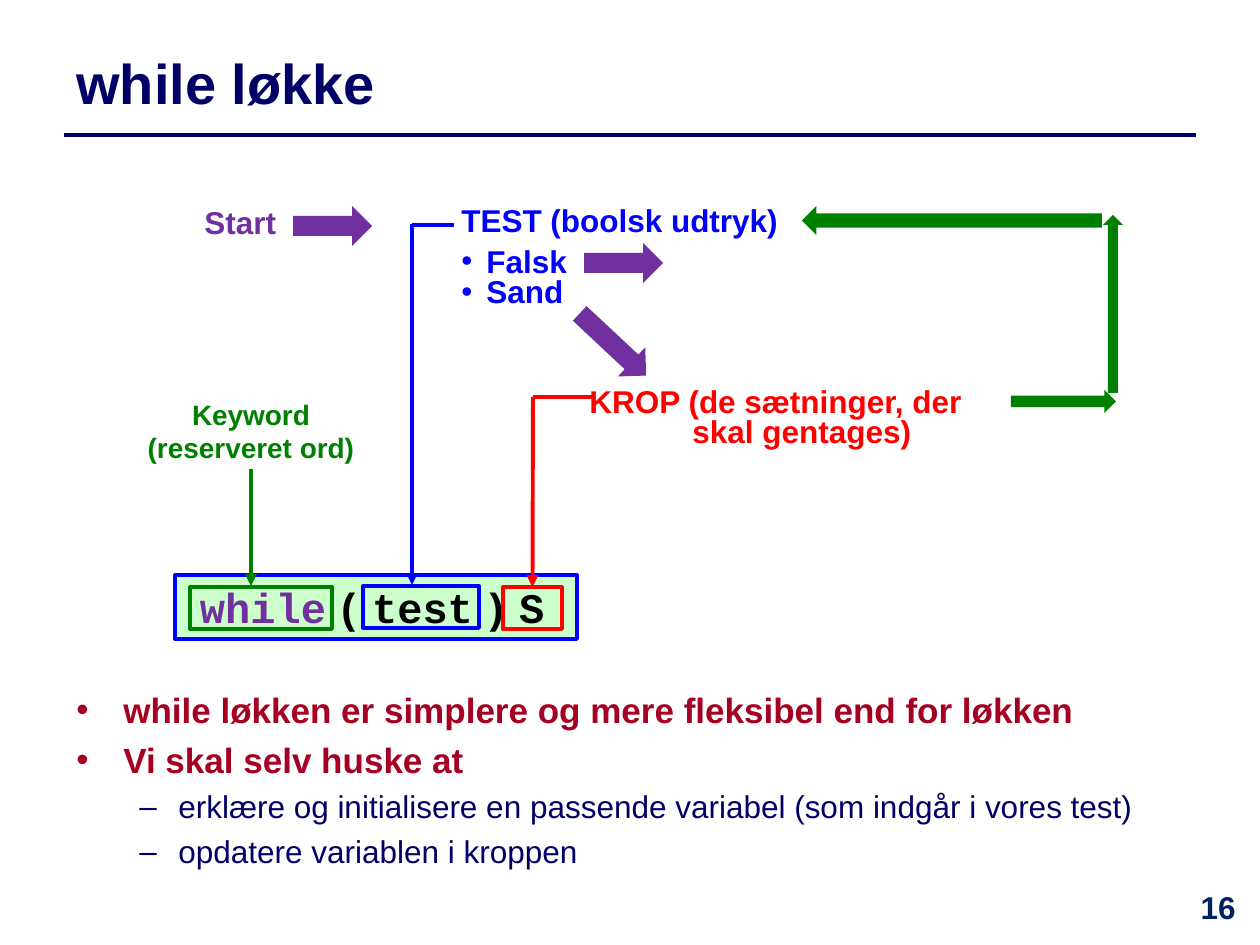
from lxml import etree
from pptx import Presentation
from pptx.dml.color import RGBColor
from pptx.enum.shapes import MSO_CONNECTOR, MSO_SHAPE as SHAPE
from pptx.enum.text import MSO_ANCHOR as ANCHOR, PP_ALIGN as ALIGN
from pptx.oxml.ns import qn
from pptx.util import Emu, Pt

NAVY = RGBColor(0x00, 0x00, 0x66)
DARK_BLUE = RGBColor(0x00, 0x20, 0x60)
BLUE = RGBColor(0x00, 0x00, 0xFF)
RED = RGBColor(0xFF, 0x00, 0x00)
CRIMSON = RGBColor(0xA5, 0x00, 0x21)
GREEN = RGBColor(0x00, 0x80, 0x00)
PALE_GREEN = RGBColor(0xCC, 0xFF, 0xCC)
PURPLE = RGBColor(0x70, 0x30, 0xA0)
BLACK = RGBColor(0x00, 0x00, 0x00)

TITLE = ("while løkke", (64, 35, 1132, 95), 32, NAVY, ALIGN.LEFT, ANCHOR.MIDDLE)
LABELS = [
    TITLE,
    ("16", (1176, 882, 84, 63), 18, DARK_BLUE, ALIGN.CENTER, ANCHOR.TOP),
    ("Start", (192, 197, 118, 49), 18, PURPLE, ALIGN.LEFT, ANCHOR.TOP),
    ("Keyword (reserveret ord)", (132, 391, 238, 98), 16, GREEN, ALIGN.CENTER, ANCHOR.TOP),
]
TEST_BOX = (449, 195, 519, 121)
TEST = [
    dict(text="TEST (boolsk udtryk)", size=18, color=BLUE),
    dict(text="Falsk", size=18, color=BLUE, bullet="•", left=25, hang=25, before=6, spacing=0.8),
    dict(text="Sand", size=18, color=BLUE, bullet="•", left=25, hang=25, spacing=0.8),
]
BODY_BOX = (577, 383, 450, 87)
BODY = [dict(text="KROP (de sætninger, der skal gentages)", size=18, color=RED,
             left=103, hang=103, spacing=0.8)]
NOTES_BOX = (64, 682, 1132, 205)
MAIN = dict(size=20, color=CRIMSON, bullet="•", left=47, hang=47)
SUB = dict(size=18, color=NAVY, bold=False, bullet="–", left=102, hang=39, before=4.1, level=1)
NOTES = [
    dict(MAIN, text="while løkken er simplere og mere fleksibel end for løkken"),
    dict(MAIN, text="Vi skal selv huske at", before=4.6),
    dict(SUB, text="erklære og initialisere en passende variabel (som indgår i vores test)"),
    dict(SUB, text="opdatere variablen i kroppen"),
]
CODE_BOX = (175, 575, 402, 64)
CODE = [("while", PURPLE), ("(", BLACK), ("test", BLACK), (")", BLACK), ("S", BLACK)]
FRAMES = [((190, 587, 142, 42), GREEN), ((363, 586, 116, 42), BLUE), ((503, 587, 59, 42), RED)]
ARROWS = [
    (SHAPE.RIGHT_ARROW, (293, 206, 79, 40), 0, PURPLE),
    (SHAPE.RIGHT_ARROW, (584, 243, 79, 40), 0, PURPLE),
    (SHAPE.DOWN_ARROW, (593, 299, 40, 91), 313.1, PURPLE),
    (SHAPE.RIGHT_ARROW, (1011, 390, 105, 23), 0, GREEN),
    (SHAPE.LEFT_ARROW, (802, 206, 300, 29), 0, GREEN),
    (SHAPE.UP_ARROW, (1103, 215, 20, 178), 0, GREEN),
]
LINES = [
    ((64, 135), (1196, 135), NAVY, 2, False),
    ((412, 225), (454, 225), BLUE, 2.25, False),
    ((412, 224), (412, 585), BLUE, 2.25, True),
    ((595, 397), (533, 397), RED, 2.25, False),
    ((251, 469), (251, 586), GREEN, 2.25, True),
]
BODY_DROP = ((533, 397), (533, 587), RED, 2.25, True)


def px(n):
    return Emu(round(n * 914400 / 126))


def add_run(p, text, size, color, bold=True, name="Arial"):
    r = p.add_run()
    r.text = text
    r.font.size, r.font.bold, r.font.name = Pt(size), bold, name
    r.font.color.rgb = color


def add_paragraph(p, text, size, color, bold=True, bullet=None, left=0, hang=0,
                  before=0, spacing=None, level=0, align=ALIGN.LEFT):
    p.alignment, p.level, p.space_before = align, level, Pt(before)
    if spacing:
        p.line_spacing = spacing
    pPr = p._p.get_or_add_pPr()
    pPr.set("marL", str(px(left)))
    pPr.set("indent", str(px(-hang)))
    if bullet:
        etree.SubElement(pPr, qn("a:buFont")).set("typeface", "Arial")
        etree.SubElement(pPr, qn("a:buChar")).set("char", bullet)
    add_run(p, text, size, color, bold)


def add_text(s, box, paragraphs, anchor=ANCHOR.TOP):
    tf = s.shapes.add_textbox(*map(px, box)).text_frame
    tf.word_wrap, tf.vertical_anchor = True, anchor
    for i, item in enumerate(paragraphs):
        add_paragraph(tf.add_paragraph() if i else tf.paragraphs[0], **item)


def add_shape(s, kind, box, fill=None, line=None):
    sp = s.shapes.add_shape(kind, *map(px, box))
    sp.shadow.inherit = False
    if fill is None:
        sp.fill.background()
    else:
        sp.fill.solid()
        sp.fill.fore_color.rgb = fill
    if line is None:
        sp.line.fill.background()
    else:
        sp.line.color.rgb, sp.line.width = line, Pt(2.25)
    return sp


def add_line(s, start, end, color, width, arrow):
    c = s.shapes.add_connector(MSO_CONNECTOR.STRAIGHT, *map(px, start + end))
    c.line.color.rgb, c.line.width = color, Pt(width)
    if arrow:
        etree.SubElement(c.line._get_or_add_ln(), qn("a:tailEnd")).set("type", "triangle")
    etree.SubElement(c._element.spPr, qn("a:effectLst"))
    return c


def add_code(s):
    tf = add_shape(s, SHAPE.RECTANGLE, CODE_BOX, PALE_GREEN, BLUE).text_frame
    tf.margin_left, tf.vertical_anchor, tf.word_wrap = px(25), ANCHOR.TOP, True
    p = tf.paragraphs[0]
    p.alignment = ALIGN.LEFT
    for i, (token, color) in enumerate(CODE):
        if i:
            add_run(p, " ", 10, color, name="Courier New")
        add_run(p, token, 24, color, name="Courier New")


def main():
    """Build the slide that explains the while loop."""
    prs = Presentation()
    prs.slide_width, prs.slide_height = px(1260), px(945)
    s = prs.slides.add_slide(prs.slide_layouts[6])
    add_code(s)
    for text, box, size, color, align, anchor in LABELS:
        add_text(s, box, [dict(text=text, size=size, color=color, align=align)], anchor)
    for box, paragraphs in ((TEST_BOX, TEST), (BODY_BOX, BODY), (NOTES_BOX, NOTES)):
        add_text(s, box, paragraphs)
    for kind, box, angle, color in ARROWS:
        add_shape(s, kind, box, fill=color).rotation = angle
    frames = [add_shape(s, SHAPE.RECTANGLE, box, line=color) for box, color in FRAMES]
    for line in LINES:
        add_line(s, *line)
    add_line(s, *BODY_DROP).end_connect(frames[-1], 0)
    prs.save("out.pptx")


if __name__ == "__main__":
    main()
